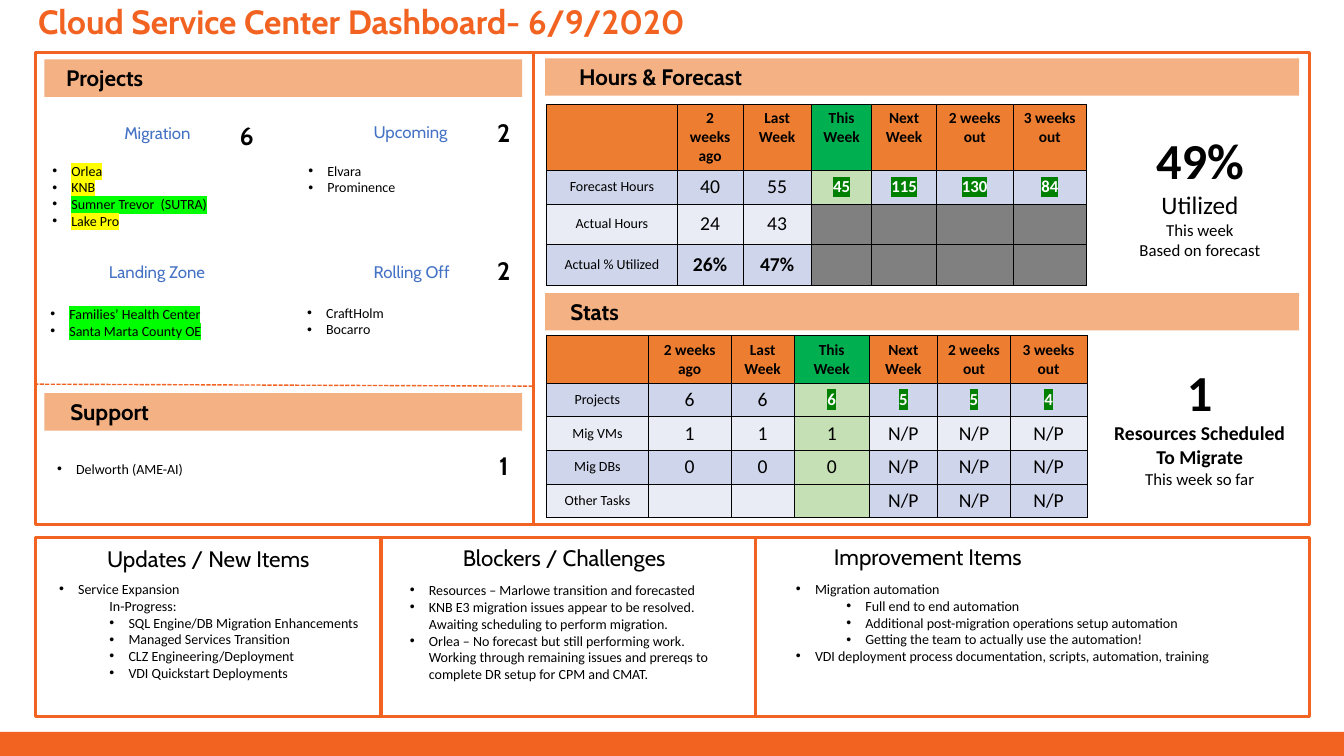
"""Build the Cloud Service Center dashboard slide."""
import lxml.etree
import pptx
import pptx.dml.color
import pptx.enum.dml
import pptx.enum.shapes
import pptx.enum.text
import pptx.oxml.ns
import pptx.util

ORANGE, BAND, BLUE, BLACK = "F26322", "F4B183", "4472C4", "000000"
YELLOW, LIME, GREEN = "FFFF00", "00FF00", "008000"
STRIPES = ["E9EBF5", "CFD5EA"]
TOP, SUB, PLAIN = (0.48, -0.48), (1.75, -0.48), (1.27, 0)

TITLE = "Cloud Service Center Dashboard- 6/9/2020"
FRAMES = [(0.89, 13.54, 32.11, 4.52), (0.89, 1.32, 32.11, 11.89)]
RULES = [(13.44, 1.35, 13.44, 13.21), (9.6, 13.54, 9.6, 18.06),
         (19.05, 13.54, 19.05, 18.06)]
DASH = (0.86, 9.68, 13.44, 9.73)
BANDS = [
    ("Projects", 1.12, 1.5, 12.04, 1.32, 2.64),
    ("Support", 1.12, 9.91, 12.04, 1.42, 2.69),
    ("Hours & Forecast", 13.74, 1.47, 19, 14.07, 5.16),
    ("Stats", 13.74, 7.39, 19, 14.07, 1.83),
]
PANELS = [("Updates / New Items", 2.36, 13.61, 5.79),
          ("Blockers / Challenges", 11.3, 13.59, 5.84),
          ("Improvement Items", 20.68, 13.56, 5.41)]
GROUPS = [("Migration", 2.79, 2.97, 2.36), ("Upcoming", 9.12, 2.95, 2.46),
          ("Landing Zone", 2.41, 6.48, 3.1), ("Rolling Off", 9.12, 6.48, 2.51)]
COUNTS = [("6", 5.77, 2.9), ("2", 12.25, 2.84), ("2", 12.25, 6.32), ("1", 12.25, 11.23)]
LISTS = [
    (1.07, 3.96, 4.57, [("Orlea", TOP, YELLOW), ("KNB", TOP, YELLOW),
                        ("Sumner Trevor  (SUTRA)", TOP, LIME), ("Lake Pro", TOP, YELLOW)]),
    (7.52, 3.96, 4.37, [("Elvara", TOP), ("Prominence", TOP)]),
    (1.02, 7.57, 4.57, [("Families’ Health Center", TOP, LIME),
                        ("Santa Marta County OE", TOP, LIME)]),
    (7.49, 7.54, 3.1, [("CraftHolm", TOP), ("Bocarro", TOP)]),
    (1.19, 11.48, 3.78, [("Delworth (AME-AI)", TOP)]),
    (1.24, 14.5, 8.2, [
        ("Service Expansion", TOP), ("In-Progress:", PLAIN),
        ("SQL Engine/DB Migration Enhancements", SUB),
        ("Managed Services Transition", SUB),
        ("CLZ Engineering/Deployment", SUB), ("VDI Quickstart Deployments", SUB)]),
    (10.08, 14.53, 8.23, [
        ("Resources – Marlowe transition and forecasted", TOP),
        ("KNB E3 migration issues appear to be resolved. "
         "Awaiting scheduling to perform migration.", TOP),
        ("Orlea – No forecast but still performing work. Working through remaining "
         "issues and prereqs to complete DR setup for CPM and CMAT.", TOP)]),
    (19.81, 14.5, 11.76, [
        ("Migration automation", TOP), ("Full end to end automation", SUB),
        ("Additional post-migration operations setup automation", SUB),
        ("Getting the team to actually use the automation!", SUB),
        ("VDI deployment process documentation, scripts, automation, training", TOP)]),
]
FACTS = [
    (28.45, 3.12, 3.58, [("49%", 36, True), ("Utilized", 18, False),
                         ("This week", 12, False), ("Based on forecast", 12, False)]),
    (27.81, 8.97, 4.85, [("1", 36, True), ("Resources Scheduled", 14, True),
                         ("To Migrate", 14, True), ("This week so far", 12, False)]),
]
HEAD = ["", "2 weeks ago", "Last Week", "This Week", "Next Week", "2 weeks\nout",
        "3 weeks out"]
NOW = HEAD.index("This Week")
GRIDS = [
    (2.62, [3.3, 1.65, 1.73, 1.52, 1.63, 1.93, 1.85], [1.66, 0.86, 1.02, 1.02], [
        HEAD,
        ["Forecast Hours", "40", "55", "45", "115", "130", "84"],
        ["Actual Hours", "24", "43"] + [None] * 4,
        ["Actual % Utilized", "26%", "47%"] + [None] * 4]),
    (8.46, [2.57, 2.08, 1.6, 1.88, 1.73, 1.83, 1.93], [1.18] + [0.85] * 4, [
        HEAD,
        ["Projects", "6", "6", "6", "5", "5", "4"],
        ["Mig VMs", "1", "1", "1"] + ["N/P"] * 3,
        ["Mig DBs", "0", "0", "0"] + ["N/P"] * 3,
        ["Other Tasks", "", "", ""] + ["N/P"] * 3]),
]

Cm, Pt, qn = pptx.util.Cm, pptx.util.Pt, pptx.oxml.ns.qn
Align = pptx.enum.text.PP_ALIGN
deck = pptx.Presentation()
deck.slide_width, deck.slide_height = Cm(33.87), Cm(19.05)
slide = deck.slides.add_slide(deck.slide_layouts[6])
shapes = slide.shapes


def paint(form, color):
    form.solid() if hasattr(form, "solid") else form.fill.solid()
    form.fore_color.rgb = pptx.dml.color.RGBColor.from_string(color)


def node(up, tag, **attrs):
    return lxml.etree.SubElement(up, qn(tag), **attrs)


def write(frame, text, size=10, font="Calibri", color=BLACK, bold=False,
          mark=None, mid=True, dent=None):
    for line in text.split("\n"):
        par = frame.paragraphs[0] if not frame.text else frame.add_paragraph()
        par.alignment = Align.CENTER if mid else Align.LEFT
        if dent:
            left, hang = dent
            props = par._p.get_or_add_pPr()
            props.set("marL", str(Cm(left)))
            props.set("indent", str(Cm(hang)))
            if hang:
                node(props, "a:buFont", typeface="Arial")
                node(props, "a:buChar", char="•")
        if not line:
            node(par._p, "a:endParaRPr", sz=str(size * 100))
            continue
        run = par.add_run()
        run.text = line
        run.font.size, run.font.name, run.font.bold = Pt(size), font, bold
        paint(run.font.fill, color)
        if mark:
            props = run._r.get_or_add_rPr()
            glow = node(props, "a:highlight")
            node(glow, "a:srgbClr", val=mark)
            props.find(qn("a:solidFill")).addnext(glow)


def box(x, y, w, h, wrap=False):
    frame = shapes.add_textbox(Cm(x), Cm(y), Cm(w), Cm(h)).text_frame
    frame.word_wrap = wrap
    return frame


def rect(x, y, w, h, fill=None, line=None):
    shape = shapes.add_shape(pptx.enum.shapes.MSO_SHAPE.RECTANGLE,
                             Cm(x), Cm(y), Cm(w), Cm(h))
    shape.shadow.inherit = False
    paint(shape.fill, fill) if fill else shape.fill.background()
    if line:
        paint(shape.line.fill, line)
        shape.line.width = Pt(2.25)
    else:
        shape.line.fill.background()


def rule(ends, width=2.25):
    line = shapes.add_connector(pptx.enum.shapes.MSO_CONNECTOR.STRAIGHT, *map(Cm, ends))
    node(line._element.spPr, "a:effectLst")
    paint(line.line.fill, ORANGE)
    line.line.width = Pt(width)
    return line


def edge(cell):
    props = cell._tc.get_or_add_tcPr()
    for spot, side in enumerate("LRTB"):
        line = node(props, "a:ln" + side, w=str(Pt(0.5)))
        node(node(line, "a:solidFill"), "a:srgbClr", val=BLACK)
        props.insert(spot, line)


def style(row, col, text):
    if row == 0:
        return "00B050" if col == NOW else "ED7D31", dict(size=11, bold=True)
    if text is None:
        return "808080", dict(size=10)
    fill = "C5E0B4" if col == NOW else STRIPES[row % 2 or (row == 4 and col > NOW)]
    if row in (2, 4) and fill in STRIPES:
        fill = STRIPES[row == 4 and col > NOW]
    elif fill in STRIPES:
        fill = STRIPES[1]
    if col == 0 or not text:
        return fill, dict(size=10)
    if row == 1 and col >= NOW:
        return fill, dict(size=12, bold=True, color="FFFFFF", mark=GREEN)
    return fill, dict(size=14, bold=text.endswith("%"))


def grid(y, cols, rows, data):
    table = shapes.add_table(len(rows), len(cols), Cm(13.77), Cm(y),
                             Cm(sum(cols)), Cm(sum(rows))).table
    for col, width in enumerate(cols):
        table.columns[col].width = Cm(width)
    for row, high in enumerate(rows):
        table.rows[row].height = Cm(high)
        for col, text in enumerate(data[row]):
            cell = table.cell(row, col)
            fill, form = style(row, col, text)
            paint(cell.fill, fill)
            edge(cell)
            if row:
                cell.vertical_anchor = pptx.enum.text.MSO_ANCHOR.MIDDLE
            write(cell.text_frame, text or "", **form)


def main():
    rect(0, 18.44, 33.87, 0.61, fill=ORANGE)
    for place in FRAMES:
        rect(*place, line=ORANGE)
    for ends in RULES:
        rule(ends)
    rule(DASH, 1).line.dash_style = pptx.enum.dml.MSO_LINE.SQUARE_DOT
    write(box(0.71, -0.1, 20.75, 1.27, True), TITLE, size=24, font="Cabin",
          color=ORANGE, bold=True, mid=False)
    for text, x, y, w, left, wide in BANDS:
        rect(x, y, w, 0.94, fill=BAND)
        write(box(left, y, wide, 0.94), text, size=16, font="Cabin", bold=True)
    for text, x, y, w in PANELS:
        write(box(x, y, w, 0.94), text, size=16, font="Cabin")
    for text, x, y, w in GROUPS:
        write(box(x, y, w, 0.76), text, size=12, font="Cabin", color=BLUE)
    for text, x, y in COUNTS:
        write(box(x, y, 0.89, 1.02), text, size=18, font="Cabin", bold=True)
    for x, y, w, items in LISTS:
        frame = box(x, y, w, 0.25 + 0.43 * len(items), True)
        for text, dent, *mark in items:
            write(frame, text, mid=False, dent=dent, mark=mark[0] if mark else None)
    for part in GRIDS:
        grid(*part)
    for x, y, w, lines in FACTS:
        frame = box(x, y, w, 3.55)
        for text, size, bold in lines:
            write(frame, text, size=size, bold=bold)
    deck.save("out.pptx")


if __name__ == "__main__":
    main()
